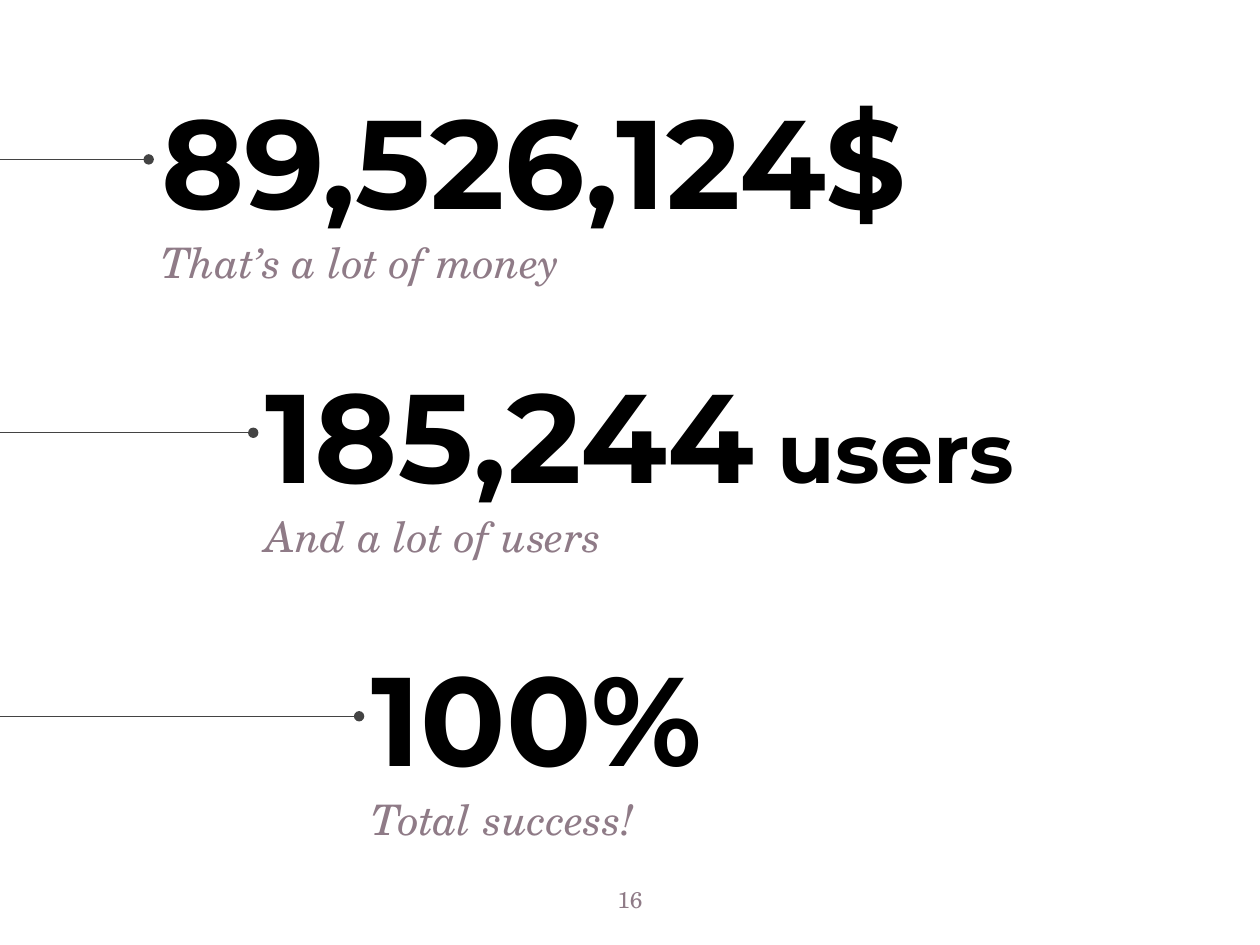
from lxml.etree import SubElement
from pptx import Presentation
from pptx.dml.color import RGBColor
from pptx.enum.shapes import MSO_CONNECTOR as Link
from pptx.enum.text import MSO_ANCHOR as Anchor, PP_ALIGN as Align
from pptx.oxml.ns import qn
from pptx.util import Inches, Pt

COLORS = {"figure": "000000", "note": "8F7B87", "line": "434343"}
SANS, SERIF = "Montserrat", "TeX Gyre Schola"

# left, top, runs of the figure as (text, size), note
STATS = [
    (1.18, 0.61, [("89,526,124$", 72)], "That’s a lot of money"),
    (2.01, 2.78, [("185,244", 72), (" users", 48)], "And a lot of users"),
    (2.85, 5.03, [("100%", 72)], "Total success!"),
]
WIDTH, HEIGHT = 6.57, 1.31


def add_text(slide, box, runs, font=SERIF, color="note", bold=False,
             italic=False, align=Align.LEFT, anchor=Anchor.TOP, spacing=1):
    frame = slide.shapes.add_textbox(*map(Inches, box)).text_frame
    frame.word_wrap = True
    frame.vertical_anchor = anchor
    frame.margin_left = frame.margin_right = Inches(0.1)
    frame.margin_top = frame.margin_bottom = Inches(0.1)
    para = frame.paragraphs[0]
    para.alignment = align
    para.line_spacing = spacing
    for text, size in runs:
        run = para.add_run()
        run.text = text
        run.font.name = font
        run.font.size = Pt(size)
        run.font.bold = bold
        run.font.italic = italic
        run.font.color.rgb = RGBColor.from_string(COLORS[color])


def add_lead(slide, x, y):
    """Draw a line from a dot at x to the left edge of the slide."""
    lead = slide.shapes.add_connector(
        Link.STRAIGHT, Inches(x), Inches(y), 0, Inches(y))
    lead.line.color.rgb = RGBColor.from_string(COLORS["line"])
    lead.line.width = Pt(0.75)
    props = lead.element.spPr
    SubElement(props.find(qn("a:ln")), qn("a:headEnd"), type="oval")
    SubElement(props, qn("a:effectLst"))


def add_stat(slide, left, top, figure, note):
    add_text(slide, (left, top, WIDTH, HEIGHT), figure, font=SANS,
             color="figure", bold=True, anchor=Anchor.MIDDLE)
    add_text(slide, (left, top + 1.11, WIDTH, 0.68), [(note, 24)],
             italic=True, spacing=1.15)
    add_lead(slide, left, top + HEIGHT / 2)


def main():
    deck = Presentation()
    deck.slide_width, deck.slide_height = Inches(10), Inches(7.5)
    slide = deck.slides.add_slide(deck.slide_layouts[6])
    for stat in STATS:
        add_stat(slide, *stat)
    add_text(slide, (4.7, 6.93, 0.6, 0.57), [("16", 13)], align=Align.CENTER)
    deck.save("out.pptx")


if __name__ == "__main__":
    main()
